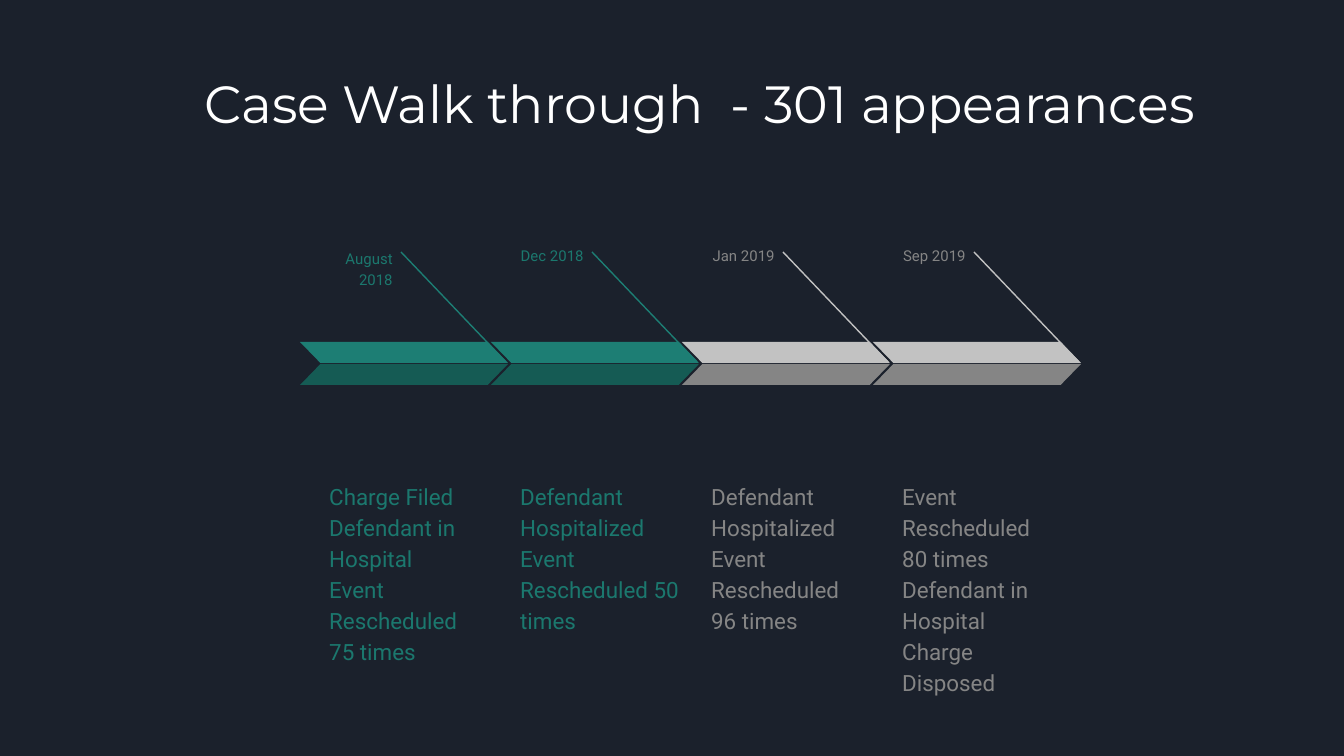
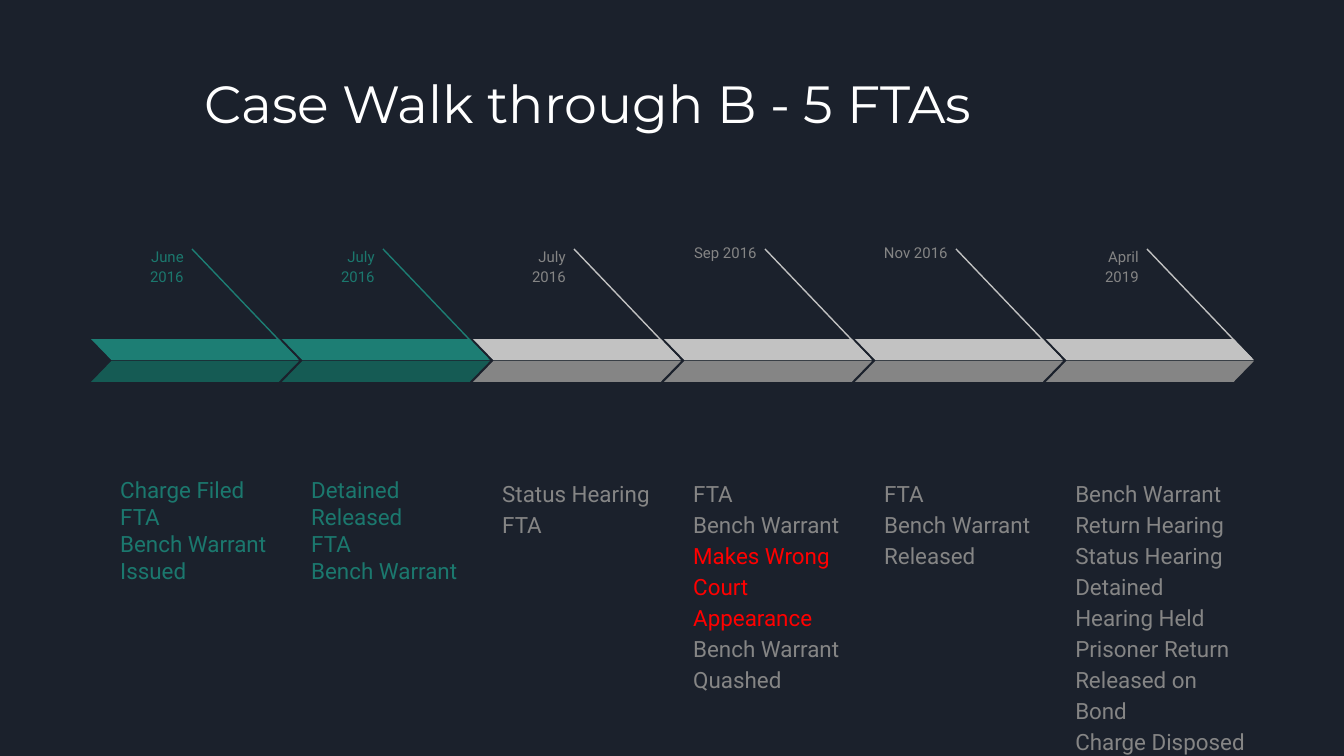
import pptx
import pptx.dml.color
import pptx.enum.shapes
import pptx.enum.text
import pptx.oxml.ns
import pptx.util
from lxml import etree

# Content: (date, tone, notes width, notes height, notes)
SLIDES = [
    {
        "title": "Case Walk through  - 301 appearances",
        "title_height": 95, "left": 300, "top": 342, "done_spacing": 1.15,
        "steps": [
            ("August 2018", "done", 172, 195,
             ["Charge Filed", "Defendant in Hospital", "Event Rescheduled 75 times"]),
            ("Dec 2018", "done", 200, 210,
             ["Defendant Hospitalized", "Event Rescheduled 50 times"]),
            ("Jan 2019", "later", 172, 226,
             ["Defendant Hospitalized", "Event Rescheduled", "96 times"]),
            ("Sep 2019", "later", 172, 218,
             ["Event Rescheduled 80 times", "Defendant in Hospital", "Charge Disposed"]),
        ],
    },
    {
        "title": "Case Walk through B - 5 FTAs",
        "title_height": 134, "left": 91, "top": 339, "done_spacing": 1.0,
        "steps": [
            ("June 2016", "done", 175, 212,
             ["Charge Filed", "FTA", "Bench Warrant Issued"]),
            ("July 2016", "done", 192, 277,
             ["Detained", "Released", "FTA", "Bench Warrant"]),
            ("July 2016", "later", 183, 109, ["Status Hearing", "FTA"]),
            ("Sep 2016", "later", 190, 257,
             ["FTA", "Bench Warrant", "Makes Wrong Court Appearance",
              "Bench Warrant Quashed"]),
            ("Nov 2016", "later", 180, 109, ["FTA", "Bench Warrant", "Released"]),
            ("April 2019", "later", 199, 277,
             ["Bench Warrant Return Hearing", "Status Hearing", "Detained",
              "Hearing Held", "Prisoner Return", "Released on Bond",
              "Charge Disposed"]),
        ],
    },
]
ALERTS = {"Makes Wrong Court Appearance"}

# Shared style
COLORS = {
    "background": "1B212C", "title": "FFFFFF", "alert": "FF0000",
    "done_upper": "1D7E74", "done_lower": "155B54", "done_text": "1B786E",
    "later_upper": "C2C2C2", "later_lower": "858585", "later_text": "858585",
}
EMU_PER_PX = 914400 / 134.4
STEP_PITCH = 191
BAND_WIDTH, BAND_HEIGHT, LOWER_OFFSET = 208, 21, 22
BAND_SLANT = 0.97
ALIGN = pptx.enum.text.PP_ALIGN


def px(length):
    return pptx.util.Emu(round(length * EMU_PER_PX))


def color(name):
    return pptx.dml.color.RGBColor.from_string(COLORS[name])


def add_text(page, area, lines, font, size, align=ALIGN.LEFT, spacing=1.0, after=0):
    """Add a text box; lines holds one (text, colour name) pair a paragraph."""
    box = page.shapes.add_textbox(*map(px, area))
    frame = box.text_frame
    frame.word_wrap = True
    frame.margin_left = frame.margin_right = pptx.util.Inches(0.1)
    frame.margin_top = frame.margin_bottom = pptx.util.Inches(0.1)
    for index, (text, tone) in enumerate(lines):
        para = frame.add_paragraph() if index else frame.paragraphs[0]
        para.alignment = align
        para.line_spacing = spacing
        para.space_after = pptx.util.Pt(after)
        span = para.add_run()
        span.text = text
        span.font.name = font
        span.font.size = pptx.util.Pt(size)
        span.font.color.rgb = color(tone)


def add_band(page, left, top, tone, flipped=False):
    band = page.shapes.add_shape(
        pptx.enum.shapes.MSO_SHAPE.PARALLELOGRAM,
        px(left), px(top), px(BAND_WIDTH), px(BAND_HEIGHT))
    band.adjustments[0] = BAND_SLANT
    band.shadow.inherit = False
    band.fill.solid()
    band.fill.fore_color.rgb = color(tone)
    band.line.fill.background()
    if flipped:
        band._element.spPr.xfrm.set("flipH", "1")


def add_pointer(page, left, top, tone):
    pointer = page.shapes.add_connector(
        pptx.enum.shapes.MSO_CONNECTOR.STRAIGHT,
        px(left + 101), px(top - 90), px(left + 206), px(top + 20))
    pointer.line.color.rgb = color(tone)
    pointer.line.width = pptx.util.Pt(0.75)
    etree.SubElement(pointer._element.spPr, pptx.oxml.ns.qn("a:effectLst"))


def add_step(page, left, top, step, done_spacing):
    date, tone, width, height, notes = step
    add_pointer(page, left, top, tone + "_upper")
    add_band(page, left, top, tone + "_upper", flipped=True)
    add_band(page, left, top + LOWER_OFFSET, tone + "_lower")
    text_tone = tone + "_text"
    add_text(page, (left + 15, top - 108, 91, 35), [(date, text_tone)],
             "Roboto", 8, ALIGN.RIGHT, 1.15, 16)
    lines = [(note, "alert" if note in ALERTS else text_tone) for note in notes]
    add_text(page, (left + 16, top + 124, width, height), lines, "Roboto", 12,
             spacing=done_spacing if tone == "done" else 1.15)


def main():
    deck = pptx.Presentation()
    deck.slide_width, deck.slide_height = px(1344), px(756)
    backdrop = deck.slide_master.background.fill
    backdrop.solid()
    backdrop.fore_color.rgb = color("background")

    for content in SLIDES:
        page = deck.slides.add_slide(deck.slide_layouts[6])
        add_text(page, (191, 58, 1035, content["title_height"]),
                 [(content["title"], "title")], "Montserrat", 28)
        for index, step in enumerate(content["steps"]):
            add_step(page, content["left"] + index * STEP_PITCH, content["top"],
                     step, content["done_spacing"])
    deck.save("out.pptx")


if __name__ == "__main__":
    main()
